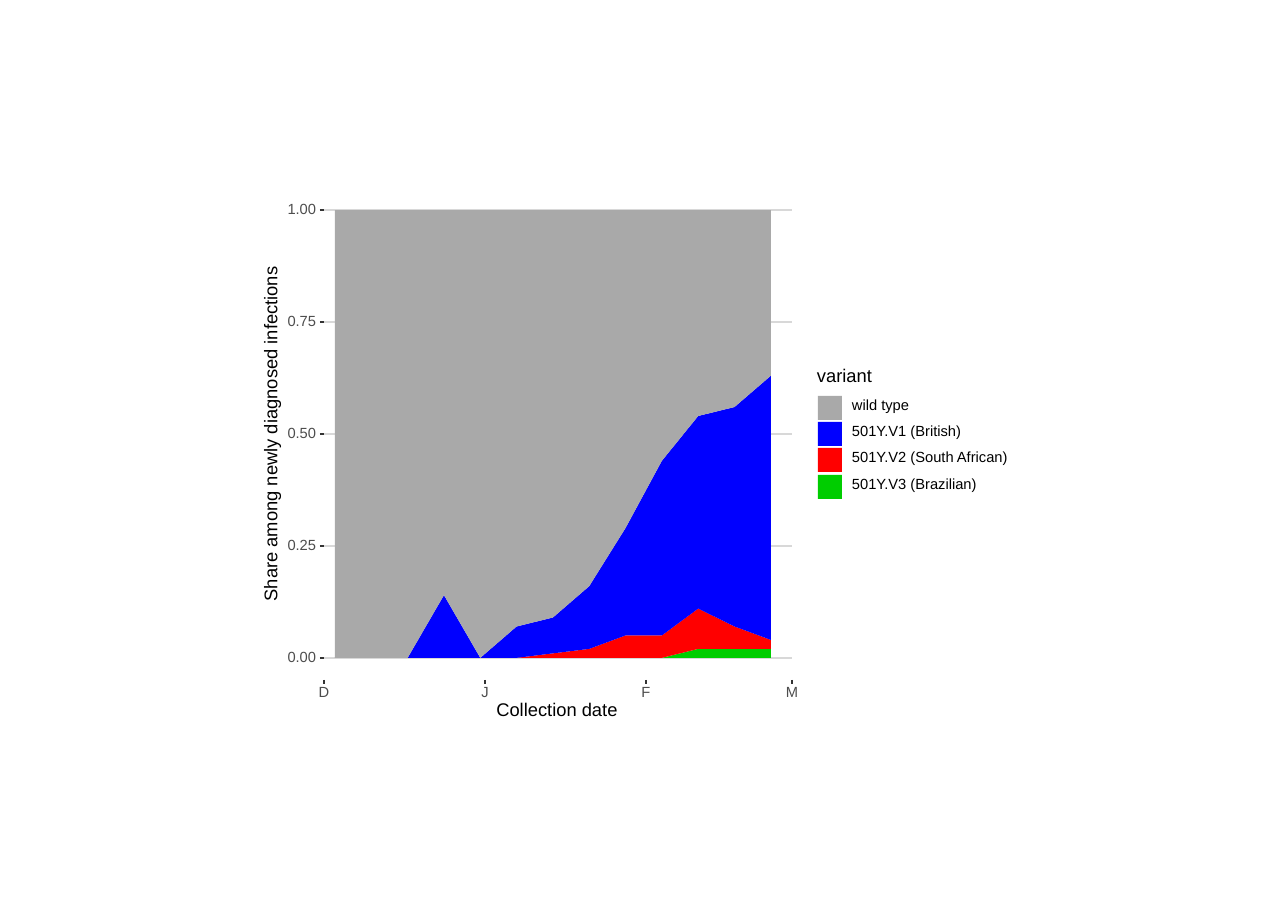
from dataclasses import dataclass

from lxml import etree
from pptx import Presentation
from pptx.chart.data import CategoryChartData
from pptx.dml.color import RGBColor
from pptx.enum.chart import XL_CHART_TYPE as ChartType
from pptx.enum.shapes import MSO_CONNECTOR as Connector, MSO_SHAPE as Preset
from pptx.enum.text import MSO_ANCHOR as Anchor, PP_ALIGN as Align
from pptx.oxml import parse_xml
from pptx.oxml.ns import nsdecls, qn
from pptx.slide import Slide
from pptx.util import Emu, Pt

EMU_PER_PX = 914400 / 110.1


@dataclass(frozen=True)
class Theme:
    font: str = "Arial"
    title_size: float = 12
    label_size: float = 9.6
    line_width: float = 1.07
    ink: str = "000000"
    axis_text: str = "4D4D4D"
    tick: str = "333333"
    grid: str = "D8D8D8"


@dataclass(frozen=True)
class Box:
    left: int
    top: int
    width: int
    height: int


@dataclass(frozen=True)
class Variant:
    name: str
    color: str
    shares: list[float]


@dataclass(frozen=True)
class Month:
    initial: str
    day: int


THEME = Theme()
PANEL = Box(324, 210, 468, 448)
AREA = Box(335, 210, 436, 448)
PERIOD_DAYS = 90
QUARTERS = 4
TICK = 4
DATE_AXIS_Y = 680

WEEKS = ["Dec 3", "Dec 10", "Dec 17", "Dec 24", "Dec 31", "Jan 7", "Jan 14",
         "Jan 21", "Jan 28", "Feb 4", "Feb 11", "Feb 18", "Feb 25"]
VARIANTS = [
    Variant("wild type", "A9A9A9",
            [1, 1, 1, 0.86, 1, 0.93, 0.91, 0.84, 0.71, 0.56, 0.46, 0.44, 0.37]),
    Variant("501Y.V1 (British)", "0000FF",
            [0, 0, 0, 0.14, 0, 0.07, 0.08, 0.14, 0.24, 0.39, 0.43, 0.49, 0.59]),
    Variant("501Y.V2 (South African)", "FF0000",
            [0, 0, 0, 0, 0, 0, 0.01, 0.02, 0.05, 0.05, 0.09, 0.05, 0.02]),
    Variant("501Y.V3 (Brazilian)", "00CD00",
            [0, 0, 0, 0, 0, 0, 0, 0, 0, 0, 0.02, 0.02, 0.02]),
]
MONTHS = [Month("D", 0), Month("J", 31), Month("F", 62), Month("M", 90)]


def px(length: int) -> Emu:
    return Emu(round(length * EMU_PER_PX))


def place(box: Box) -> tuple[Emu, Emu, Emu, Emu]:
    return px(box.left), px(box.top), px(box.width), px(box.height)


def add_text(slide: Slide, text: str, box: Box, size: float, color: str,
             align: Align = Align.LEFT, rotation: int = 0) -> None:
    label = slide.shapes.add_textbox(*place(box))
    label.rotation = rotation
    frame = label.text_frame
    frame.word_wrap = True
    frame.vertical_anchor = Anchor.MIDDLE
    frame.margin_left = frame.margin_right = 0
    frame.margin_top = frame.margin_bottom = 0
    paragraph = frame.paragraphs[0]
    paragraph.alignment = align
    paragraph.line_spacing = Pt(size)
    run = paragraph.add_run()
    run.text = text
    run.font.name = THEME.font
    run.font.size = Pt(size)
    run.font.color.rgb = RGBColor.from_string(color)


def add_line(slide: Slide, x1: int, y1: int, x2: int, y2: int, color: str) -> None:
    line = slide.shapes.add_connector(Connector.STRAIGHT, px(x1), px(y1), px(x2), px(y2))
    line.line.color.rgb = RGBColor.from_string(color)
    line.line.width = Pt(THEME.line_width)
    etree.SubElement(line._element.spPr, qn("a:effectLst"))


def add_share_axis(slide: Slide) -> None:
    for quarter in range(QUARTERS + 1):
        y = PANEL.top + PANEL.height * (QUARTERS - quarter) // QUARTERS
        add_line(slide, PANEL.left, y, PANEL.left + PANEL.width, y, THEME.grid)
        add_line(slide, PANEL.left - TICK, y, PANEL.left, y, THEME.tick)
        add_text(slide, f"{quarter / QUARTERS:.2f}", Box(280, y - 7, 36, 14),
                 THEME.label_size, THEME.axis_text, Align.RIGHT)
    add_text(slide, "Share among newly diagnosed infections", Box(92, 425, 360, 18),
             THEME.title_size, THEME.ink, Align.CENTER, 270)


def add_date_axis(slide: Slide) -> None:
    for month in MONTHS:
        x = PANEL.left + PANEL.width * month.day // PERIOD_DAYS
        add_line(slide, x, DATE_AXIS_Y, x, DATE_AXIS_Y + TICK, THEME.tick)
        add_text(slide, month.initial, Box(x - 10, DATE_AXIS_Y + 6, 20, 14),
                 THEME.label_size, THEME.axis_text, Align.CENTER)
    add_text(slide, "Collection date", Box(477, 703, 160, 16),
             THEME.title_size, THEME.ink, Align.CENTER)


def add_share_chart(slide: Slide) -> None:
    """Stack the variants, last one at the bottom, over the whole chart frame."""
    stacked = VARIANTS[::-1]
    data = CategoryChartData(number_format="0.00")
    data.categories = WEEKS
    for variant in stacked:
        data.add_series(variant.name, variant.shares)
    chart = slide.shapes.add_chart(ChartType.AREA_STACKED, *place(AREA), data).chart
    chart.has_legend = False
    chart.has_title = False
    chart.font.name = THEME.font
    chart.font.size = Pt(THEME.label_size)
    chart.font.color.rgb = RGBColor.from_string(THEME.axis_text)
    chart.value_axis.minimum_scale = 0
    chart.value_axis.maximum_scale = 1
    for axis in (chart.value_axis, chart.category_axis):
        axis.has_major_gridlines = False
        axis.visible = False
    plot = chart.plots[0]
    plot.vary_by_categories = False
    for series, variant in zip(plot.series, stacked):
        series.format.fill.solid()
        series.format.fill.fore_color.rgb = RGBColor.from_string(variant.color)
        series.format.line.fill.background()

    plot_area = chart._chartSpace.find(".//" + qn("c:plotArea"))
    for layout in plot_area.findall(qn("c:layout")):
        plot_area.remove(layout)
    plot_area.insert(0, parse_xml(
        f'<c:layout {nsdecls("c")}><c:manualLayout><c:layoutTarget val="inner"/>'
        '<c:xMode val="edge"/><c:yMode val="edge"/><c:x val="0"/><c:y val="0"/>'
        '<c:w val="1"/><c:h val="1"/></c:manualLayout></c:layout>'))


def add_legend(slide: Slide) -> None:
    add_text(slide, "variant", Box(817, 369, 80, 16), THEME.title_size, THEME.ink)
    for row, variant in enumerate(VARIANTS):
        top = 396 + 79 * row // 3
        swatch = slide.shapes.add_shape(Preset.RECTANGLE, *place(Box(818, top, 24, 24)))
        swatch.shadow.inherit = False
        swatch.fill.solid()
        swatch.fill.fore_color.rgb = RGBColor.from_string(variant.color)
        swatch.line.fill.background()
        add_text(slide, variant.name, Box(852, top + 3, 170, 14),
                 THEME.label_size, THEME.ink)


def main() -> None:
    deck = Presentation()
    deck.slide_width, deck.slide_height = px(1288), px(911)
    slide = deck.slides.add_slide(deck.slide_layouts[6])
    add_share_axis(slide)
    add_share_chart(slide)
    add_date_axis(slide)
    add_legend(slide)
    deck.save("out.pptx")


if __name__ == "__main__":
    main()
